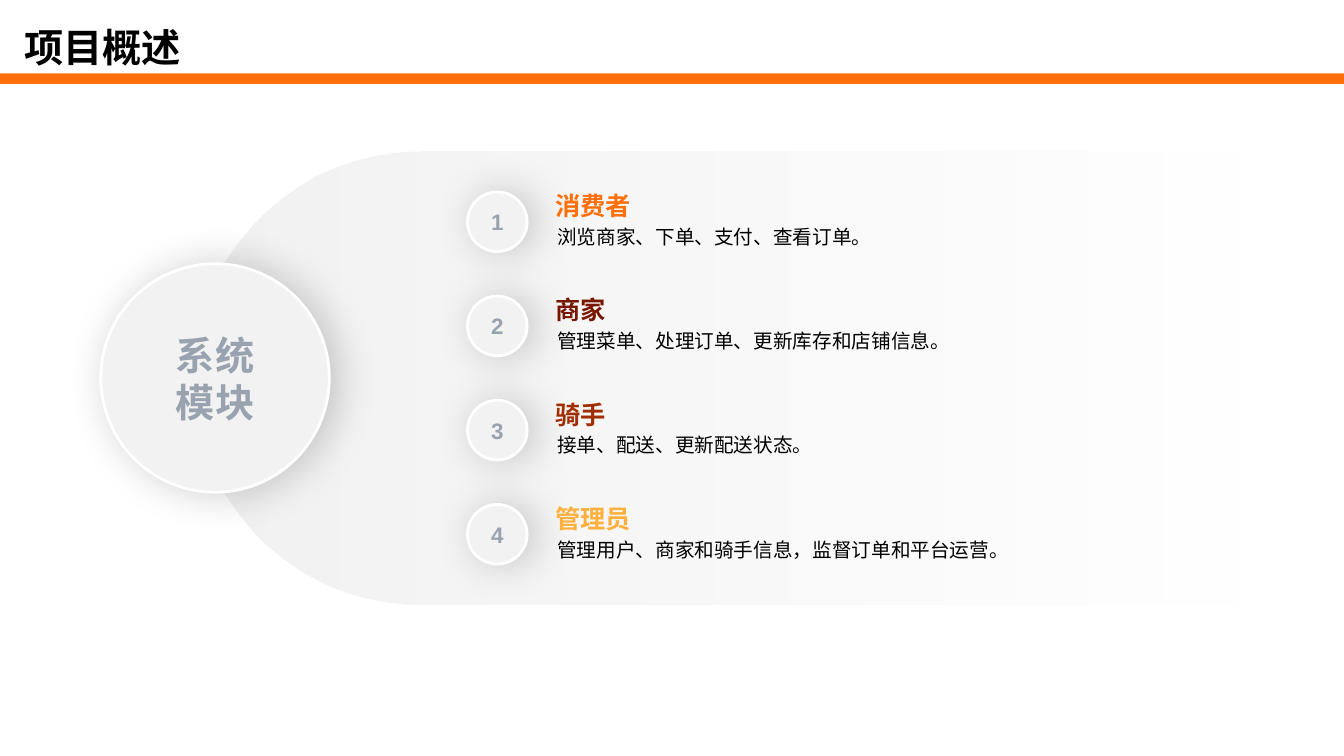
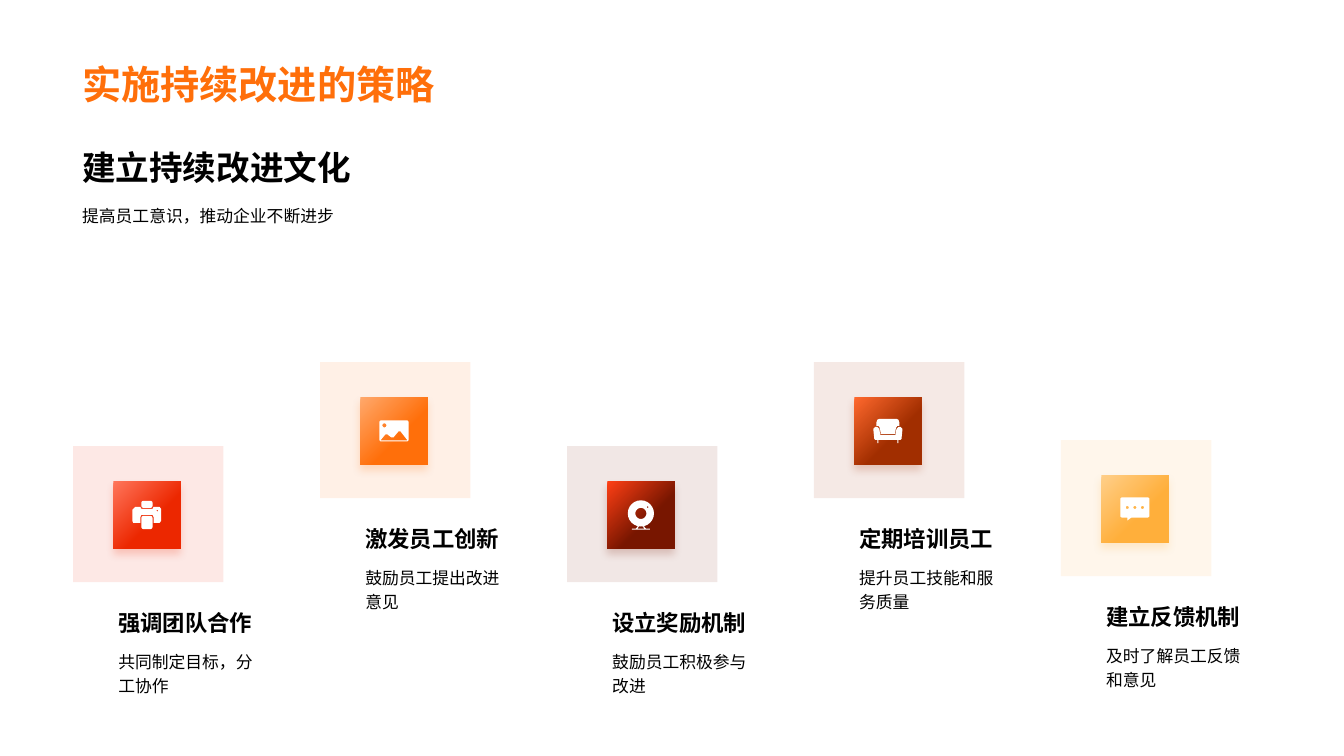
from math import cos, pi, sin

from lxml.etree import SubElement
from pptx import Presentation
from pptx.dml.color import RGBColor
from pptx.enum.lang import MSO_LANGUAGE_ID
from pptx.enum.shapes import MSO_SHAPE
from pptx.enum.text import MSO_ANCHOR, PP_ALIGN
from pptx.oxml.ns import qn
from pptx.util import Inches, Pt

# Content
OVERVIEW = "项目概述"
HUB = ["系统", "模块"]
MODULES = [
    ("消费者", "浏览商家、下单、支付、查看订单。", "orange"),
    ("商家", "管理菜单、处理订单、更新库存和店铺信息。", "maroon"),
    ("骑手", "接单、配送、更新配送状态。", "rust"),
    ("管理员", "管理用户、商家和骑手信息，监督订单和平台运营。", "amber"),
]
STRATEGY = "实施持续改进的策略"
CULTURE = "建立持续改进文化"
LEAD = "提高员工意识，推动企业不断进步"
# heading, body, colour, lighter colour, icon, top row
STEPS = [
    ("强调团队合作", "共同制定目标，分工协作", "red", "FF765B", "printer", 53.1),
    ("激发员工创新", "鼓励员工提出改进意见", "orange", "FFA96C", "image", 43.1),
    ("设立奖励机制", "鼓励员工积极参与改进", "maroon", "FF4015", "camera", 53.1),
    ("定期培训员工", "提升员工技能和服务质量", "rust", "FF692E", "sofa", 43.1),
    ("建立反馈机制", "及时了解员工反馈和意见", "amber", "FFCF89", "chat", 52.4),
]


# Theme: colours, type styles, and a grid of 160 columns by 90 rows
class Theme:
    font = "Arial"
    color = dict(orange="FF6F0A", maroon="781600", rust="A12E00", amber="FFAF3B",
                 red="EC2700", black="000000", white="FFFFFF", pale="F2F2F2",
                 slate="99A3B0")
    type = dict(title=dict(size=Pt(28), bold=True), head=dict(size=Pt(24), bold=True),
                label=dict(size=Pt(18), bold=True), step=dict(size=Pt(16), bold=True),
                body=dict(size=Pt(14), bold=False), small=dict(size=Pt(12), bold=False))


WIDTH, HEIGHT = Inches(13.333), Inches(7.5)
CELL = HEIGHT / 90


def pill(x, y, w, h, r):
    """Outline of a rectangle with round corners; a circle when r is half of w."""
    mids = [(x + w - r, y + h - r), (x + r, y + h - r), (x + r, y + r), (x + w - r, y + r)]
    return [(cx + r * cos(a), cy + r * sin(a))
            for q, (cx, cy) in enumerate(mids)
            for a in [(q + k / 6) * pi / 2 for k in range(7)]]


def dot(x, y, d):
    return pill(x, y, d, d, d / 2)


# Icons in hundredths of an inch: size, outlines (an inner outline is a hole)
ICONS = {
    "printer": ((29, 28), [
        pill(9, 0, 11, 7, 2), pill(9, 15, 11, 13, 2), dot(24, 9, 1.5),
        [(8, 6), (9, 8), (20, 8), (21, 6), (27, 6), (28.5, 8), (28.5, 20), (27, 22),
         (21, 22), (21, 16), (20, 14), (9, 14), (8, 16), (8, 22), (1, 22), (0, 20),
         (0, 9), (3, 6)]]),
    "image": ((29, 21), [
        pill(0, 0, 29, 21, 2), dot(3, 3, 4),
        [(21, 11), (19, 11), (14, 17), (12, 17), (8, 14), (6, 14), (1, 20), (28, 20)]]),
    "camera": ((26, 29), [
        dot(0, 0, 26), dot(7.5, 7.5, 11), dot(19, 6, 1.5),
        [(10, 25.8), (8, 28), (4, 28), (4, 29), (22, 29), (22, 28), (18, 28), (16, 25.8),
         (15, 26.2), (16.5, 28), (9.5, 28), (11, 26.2)]]),
    "sofa": ((29, 24), [
        [(23, 0), (25, 1), (26, 4), (26, 7), (24, 7), (22.5, 9), (21.5, 15), (7.5, 15),
         (6.5, 9), (5, 7), (3, 7), (3, 4), (4, 1), (6, 0)],
        [(27, 8), (29, 10), (28, 20), (27, 21), (25, 21), (25, 24), (24, 24), (24, 21),
         (5, 21), (5, 24), (4, 24), (4, 21), (2, 21), (1, 20), (0, 10), (2, 8), (4, 8),
         (6, 10), (7, 16), (22, 16), (23, 10), (25, 8)]]),
    "chat": ((29, 23), [
        pill(0, 0, 29, 20, 2), [(7, 20), (7, 23), (11, 20)],
        *[dot(x, 8.5, 3) for x in (5.5, 13, 20.5)]]),
}


# Helpers
def rgb(name):
    return RGBColor.from_string(Theme.color.get(name, name))


def cells(*vals):
    return [round(v * CELL) for v in vals]


def fade(clr, share):
    SubElement(clr, qn("a:alpha")).set("val", str(share * 1000))


def write(shape, lines, style, color, anchor=MSO_ANCHOR.TOP, align=PP_ALIGN.LEFT,
          gap=None, inset=None):
    frame = shape.text_frame
    frame.word_wrap, frame.vertical_anchor = True, anchor
    if inset:
        for side in ("left", "top", "right", "bottom"):
            setattr(frame, "margin_" + side, Inches(inset))
    for i, line in enumerate(lines):
        para = frame.add_paragraph() if i else frame.paragraphs[0]
        para.alignment, para.line_spacing = align, gap
        run = para.add_run()
        run.text = line
        look = dict(Theme.type[style], name=Theme.font,
                    language_id=MSO_LANGUAGE_ID.SIMPLIFIED_CHINESE)
        for key, val in look.items():
            setattr(run.font, key, val)
        run.font.color.rgb = rgb(color)
        SubElement(run.font._element, qn("a:ea")).set("typeface", Theme.font)


def text(slide, at, words, style, color="black", **opts):
    write(slide.shapes.add_textbox(*cells(*at)), [words], style, color, **opts)


def plain(shape, fill, alpha=None):
    shape.shadow.inherit = False
    shape.fill.solid()
    shape.fill.fore_color.rgb = rgb(fill)
    shape.line.fill.background()
    if alpha:
        fade(next(shape._element.spPr.iter(qn("a:srgbClr"))), alpha)
    return shape


def block(slide, kind, at, fill, alpha=None):
    return plain(slide.shapes.add_shape(kind, *cells(*at)), fill, alpha)


def blend(shape, start, end, angle, stop=1.0):
    shape.fill.gradient()
    shape.fill.gradient_angle = 360 - angle
    for mark, color, pos in zip(shape.fill.gradient_stops, (start, end), (0.0, stop)):
        mark.color.rgb, mark.position = rgb(color), pos


def shade(shape, color, blur, dist, angle):
    glow = SubElement(shape._element.spPr.find(qn("a:effectLst")), qn("a:outerShdw"))
    for key, val in dict(blurRad=Pt(blur), dist=Pt(dist), dir=angle * 60000,
                         algn="ctr", rotWithShape=0).items():
        glow.set(key, str(val))
    clr = SubElement(glow, qn("a:srgbClr"))
    clr.set("val", str(rgb(color)))
    fade(clr, 20)


def disc(slide, kind, mid_x, mid_y, d, lines, style):
    shape = block(slide, kind, (mid_x - d / 2, mid_y - d / 2, d, d), "pale")
    shape.line.color.rgb, shape.line.width = rgb("white"), Pt(2)
    shade(shape, "black", 30, 5, 0)
    write(shape, lines, style, "slate", MSO_ANCHOR.MIDDLE, PP_ALIGN.CENTER)


def icon(slide, name, mid_x, mid_y):
    (w, h), lines = ICONS[name]
    fine = [[(x * 100, y * 100) for x, y in line] for line in lines]
    pen = slide.shapes.build_freeform(*fine[0][0], scale=Inches(1) / 10000)
    for i, line in enumerate(fine):
        if i:
            pen.move_to(*line[0])
        pen.add_line_segments(line[1:], close=True)
    left, top = cells(mid_x, mid_y)
    plain(pen.convert_to_shape(left - Inches(w / 200), top - Inches(h / 200)), "white")


# Slide 1: hub with numbered modules
def overview(slide):
    block(slide, MSO_SHAPE.RECTANGLE, (0, 8.75, 160, 1.25), "orange")
    text(slide, (1.7, 2.2, 43.8, 6.8), OVERVIEW, "title")
    long, high, mid_x, mid_y = 125, 54, 85.5, 45
    panel = block(slide, MSO_SHAPE.ROUND_2_SAME_RECTANGLE,
                  (mid_x - high / 2, mid_y - long / 2, high, long), "pale")
    panel.rotation = 270
    panel.adjustments[0], panel.adjustments[1] = 0.5, 0
    blend(panel, "pale", "pale", 90)
    fade(list(panel._element.spPr.iter(qn("a:srgbClr")))[1], 0)
    disc(slide, MSO_SHAPE.OVAL, 25.6, mid_y, 27.2, HUB, "title")
    for i, (name, note, color) in enumerate(MODULES):
        row = mid_y + (i - 1.5) * 12.4
        disc(slide, MSO_SHAPE.FLOWCHART_CONNECTOR, 59.2, row, 7.1, [str(i + 1)], "step")
        text(slide, (64.9, row - 4.3, 32.3, 4.8), name, "label", color)
        text(slide, (64.9, row - 1.9, 59.2, 6.1), note, "body", gap=1.3, inset=0.12)


# Slide 2: five steps
def strategy(slide):
    left, wide, low = 8.6, 142.5, MSO_ANCHOR.BOTTOM
    text(slide, (left, 0, wide, 13.4), STRATEGY, "title", "orange", anchor=low)
    text(slide, (left, 13.4, wide, 9.5), CULTURE, "head", anchor=low)
    text(slide, (left, 23.4, wide, 3.8), LEAD, "small", gap=1.2)
    side = 8
    for i, (name, note, color, light, sign, top) in enumerate(STEPS):
        x = 8.7 + 29.4 * i
        block(slide, MSO_SHAPE.RECTANGLE, (x, top, 17.9, 16.2), color, 10)
        text(slide, (x + 4.2, top + 18.8, 19.4, 4.4), name, "step", anchor=low)
        text(slide, (x + 4.2, top + 23.4, 19.8, 6.8), note, "small", gap=1.2)
        tile_x, tile_y = x + 4.8, top + 4.2
        tile = block(slide, MSO_SHAPE.RECTANGLE, (tile_x, tile_y, side, side), color)
        blend(tile, light, color, 45, 0.6)
        shade(tile, color, 6, 4, 90)
        icon(slide, sign, tile_x + side / 2, tile_y + side / 2)


def main():
    deck = Presentation()
    deck.slide_width, deck.slide_height = WIDTH, HEIGHT
    for build in (overview, strategy):
        build(deck.slides.add_slide(deck.slide_layouts[6]))
    deck.save("out.pptx")


if __name__ == "__main__":
    main()
